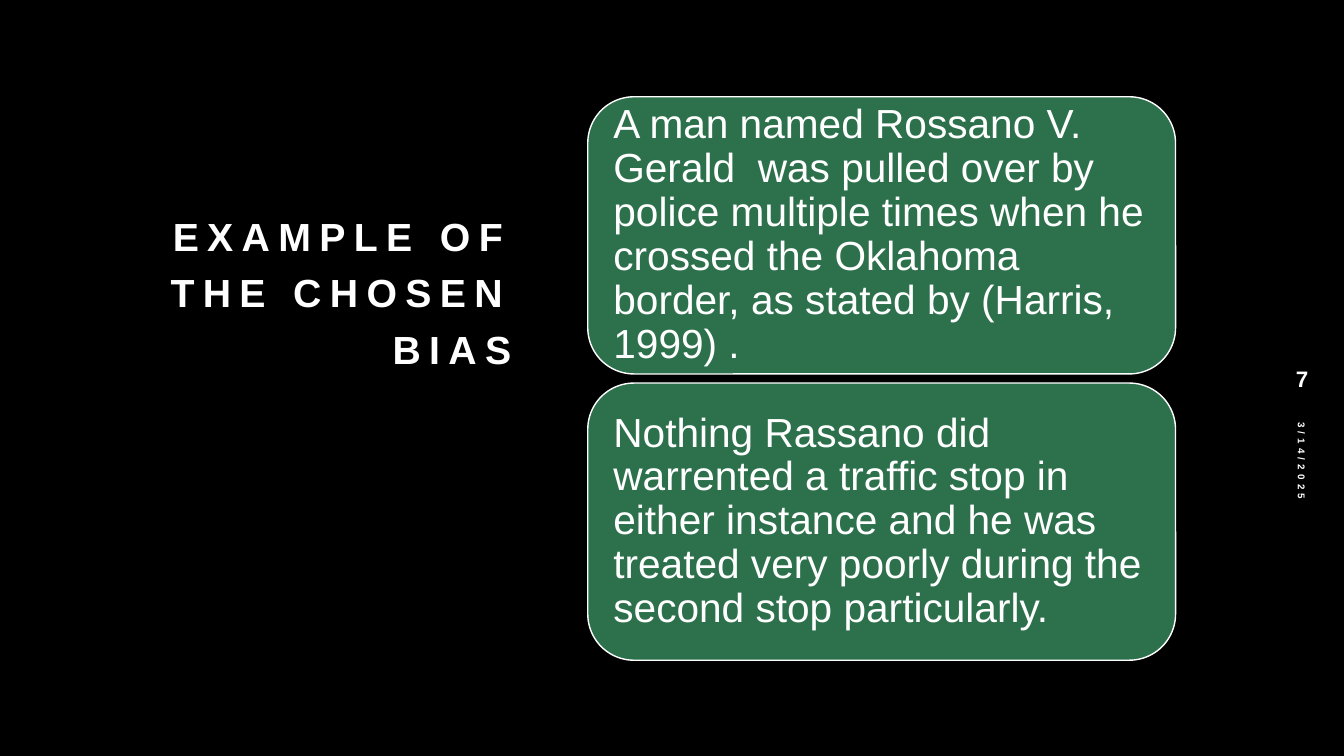
from pptx import Presentation
from pptx.dml.color import RGBColor
from pptx.enum.shapes import MSO_SHAPE as Shape
from pptx.enum.text import MSO_ANCHOR as Anchor, PP_ALIGN as Align
from pptx.util import Inches, Pt

COLORS = {"back": "000000", "card": "2D714C", "text": "FFFFFF"}


class SlideBuilder:
    font_name = "Arial"

    def __init__(self, deck):
        self.page = deck.slides.add_slide(deck.slide_layouts[6])
        back = self.page.background.fill
        back.solid()
        back.fore_color.rgb = self.color("back")

    def color(self, name):
        return RGBColor.from_string(COLORS[name])

    def set_text(self, box, text, size, bold=True, tracking=0, frame_format=None, para_format=None):
        frame = box.text_frame
        frame.word_wrap = True
        para = frame.paragraphs[0]
        span = para.add_run()
        span.text = text
        span_format = {"name": self.font_name, "size": Pt(size), "bold": bold}
        for target, values in (
            (frame, frame_format or {}),
            (para, para_format or {}),
            (span.font, span_format),
        ):
            for key, value in values.items():
                setattr(target, key, value)
        span.font.color.rgb = self.color("text")
        if tracking:
            span.font._element.set("spc", str(tracking * 100))

    def label(self, place, text, size, anchor=Anchor.MIDDLE, rotation=0, tracking=0, **para_format):
        box = self.page.shapes.add_textbox(*map(Inches, place))
        box.rotation = rotation
        self.set_text(box, text, size, tracking=tracking,
                      frame_format={"vertical_anchor": anchor}, para_format=para_format)

    def card(self, place, text):
        box = self.page.shapes.add_shape(Shape.ROUNDED_RECTANGLE, *map(Inches, place))
        box.shadow.inherit = False
        box.fill.solid()
        box.fill.fore_color.rgb = self.color("card")
        box.line.color.rgb = self.color("text")
        box.line.width = Pt(1)
        sides = ("left", "top", "right", "bottom")
        frame_format = {f"margin_{side}": Inches(0.12) for side in sides}
        frame_format["vertical_anchor"] = Anchor.MIDDLE
        self.set_text(box, text, 29, bold=False, frame_format=frame_format,
                      para_format={"alignment": Align.LEFT, "line_spacing": 0.9})


def main():
    deck = Presentation()
    deck.slide_width, deck.slide_height = Inches(13.33), Inches(7.5)
    slide = SlideBuilder(deck)

    # Title
    slide.label((1.58, 1.7, 3.59, 2.04), "EXAMPLE OF THE CHOSEN BIAS", 28, Anchor.BOTTOM,
                tracking=6, alignment=Align.RIGHT, line_spacing=1.2)

    # Date and page number
    slide.label((11.45, 5.35, 2.92, 0.4), "3/14/2025", 7, rotation=90, tracking=3,
                space_after=Pt(6))
    slide.label((12.57, 3.52, 0.69, 0.47), "7", 16, alignment=Align.CENTER, space_after=Pt(6))

    # Stacked cards
    stories = (
        "A man named Rossano V. Gerald  was pulled over by police multiple times "
        "when he crossed the Oklahoma border, as stated by (Harris, 1999) .",
        "Nothing Rassano did warrented a traffic stop in either instance and he was "
        "treated very poorly during the second stop particularly.",
    )
    height, gap = 2.75, 0.09
    for row, story in enumerate(stories):
        slide.card((5.83, 0.96 + row * (height + gap), 5.83, height), story)

    deck.save("out.pptx")


if __name__ == "__main__":
    main()
